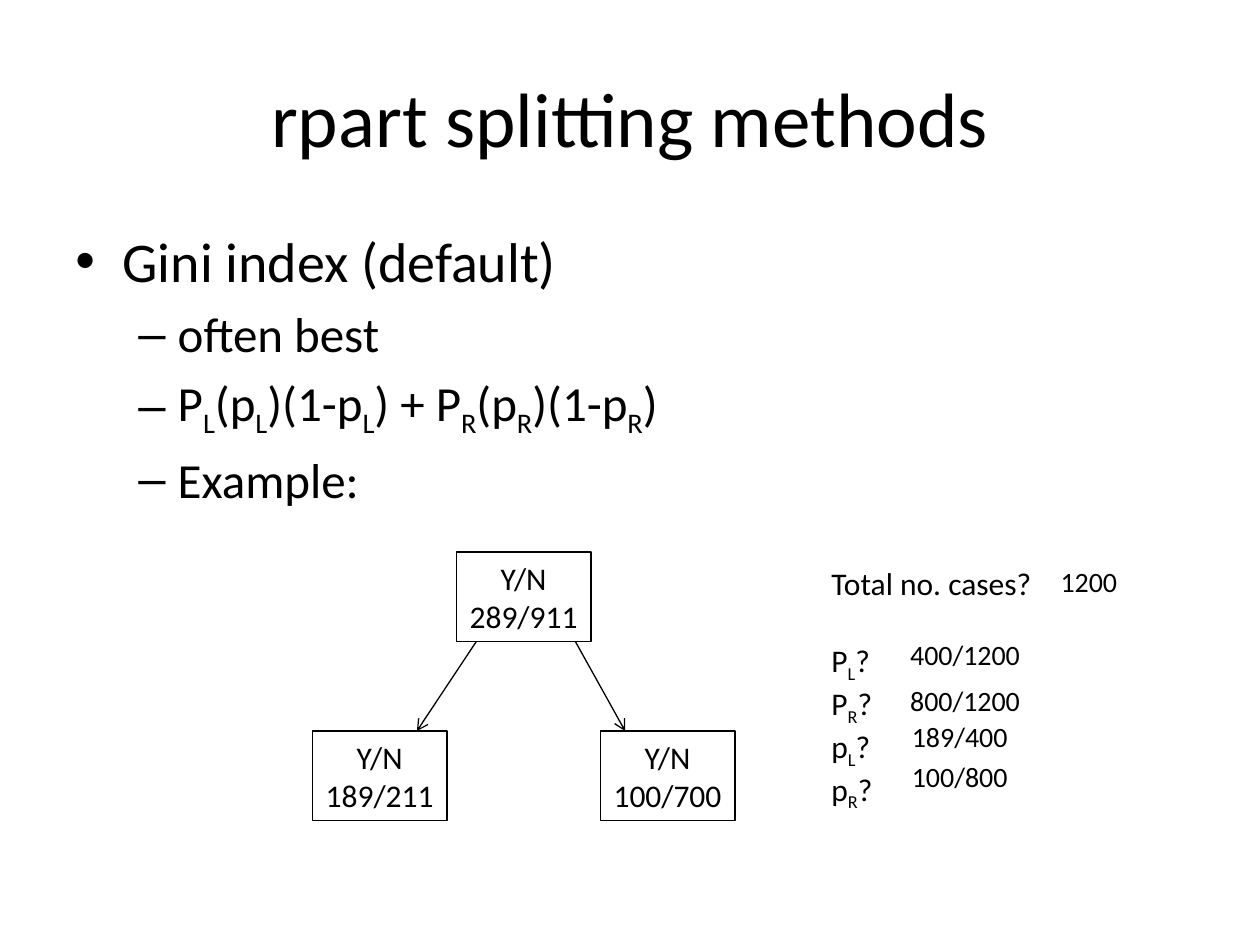
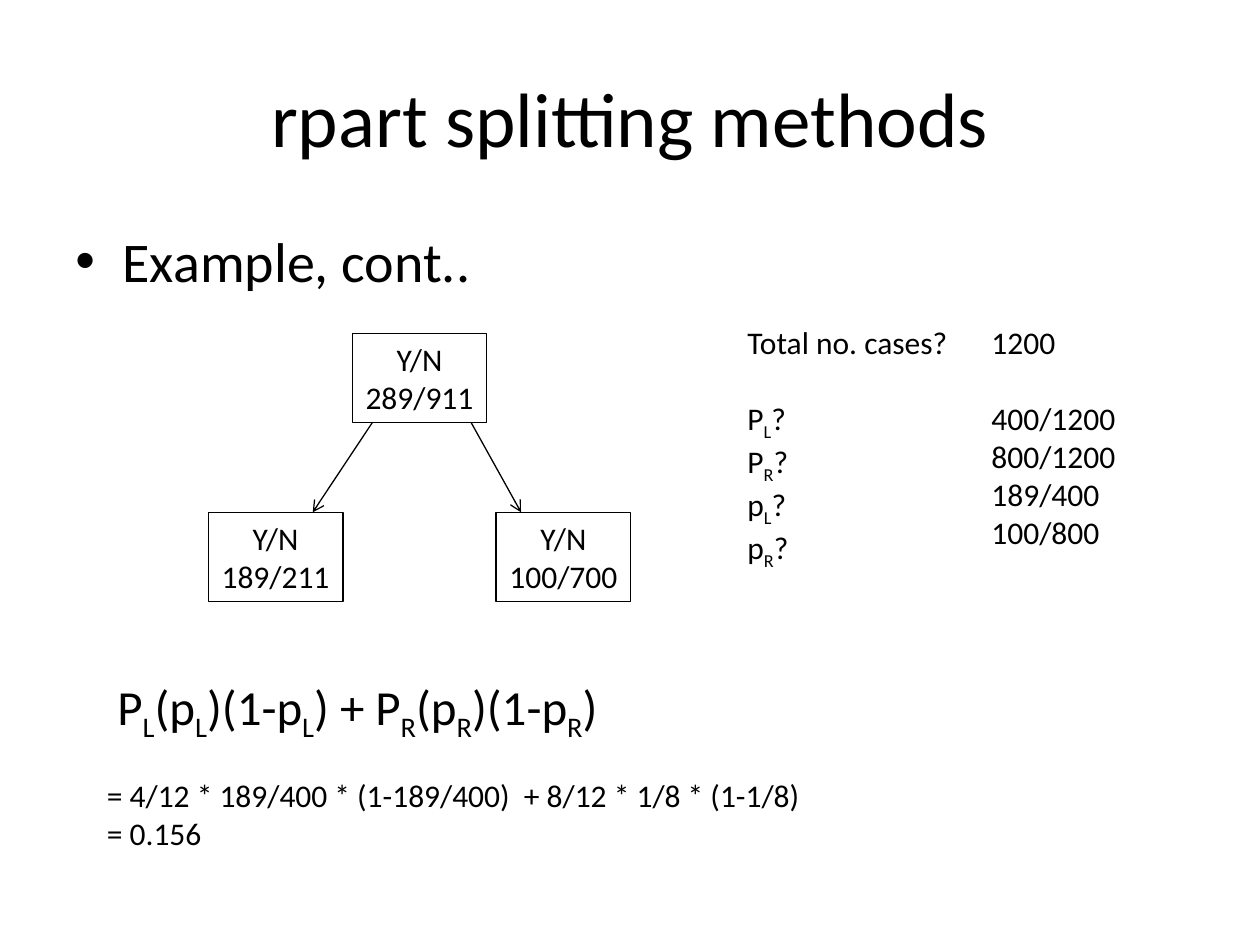
from dataclasses import dataclass

from lxml.etree import SubElement
from pptx import Presentation
from pptx.dml.color import RGBColor
from pptx.enum.shapes import MSO_CONNECTOR, MSO_SHAPE
from pptx.enum.text import MSO_ANCHOR, PP_ALIGN
from pptx.oxml.ns import qn
from pptx.util import Pt


@dataclass(frozen=True)
class Theme:
    font: str = "Calibri"
    ink: RGBColor = RGBColor(0, 0, 0)
    paper: RGBColor = RGBColor(255, 255, 255)
    title: int = 44
    bullet: int = 32
    dash: int = 28
    text: int = 18
    answer: int = 16
    line: float = 0.75


THEME = Theme()
TITLE = "rpart splitting methods"
GINI = "P_L(p_L)(1-p_L) + P_R(p_R)(1-p_R)"
QUESTIONS = ["P_L?", "P_R?", "p_L?", "p_R?"]
ANSWERS = ["400/1200", "800/1200", "189/400", "100/800"]
TOTAL_QUESTION, TOTAL = "Total no. cases?", "1200"
BLANK_LINE = 22

NODE_WIDTH, NODE_HEIGHT = 77, 51
BRANCH_X, BRANCH_Y = 82.25, 102.25


def write(para, text, size=THEME.text, align=PP_ALIGN.LEFT, before=0):
    """Fill a paragraph; the letter after an underscore is a subscript."""
    para.alignment = align
    para.space_before = Pt(before)
    first, *rest = text.split("_")
    pieces = [(first, False)]
    for part in rest:
        pieces += [(part[0], True), (part[1:], False)]
    for piece, lowered in pieces:
        span = para.add_run()
        span.text = piece
        span.font.name = THEME.font
        span.font.size = Pt(size)
        span.font.color.rgb = THEME.ink
        if lowered:
            span.font._element.set("baseline", "-25000")


def set_bullet(para, mark, left, hanging):
    properties = para._p.get_or_add_pPr()
    properties.set("marL", str(Pt(left)))
    properties.set("indent", str(Pt(-hanging)))
    SubElement(properties, qn("a:buFont"), typeface="Arial")
    SubElement(properties, qn("a:buChar"), char=mark)


class Slides:
    def __init__(self, theme):
        self.theme = theme
        self.deck = Presentation()
        self.deck.slide_width, self.deck.slide_height = Pt(720), Pt(540)
        self.page = None

    def add_page(self, title):
        self.page = self.deck.slides.add_slide(self.deck.slide_layouts[5])
        self.page.background.fill.solid()
        self.page.background.fill.fore_color.rgb = self.theme.paper
        box = self.page.shapes.title
        box.left, box.top, box.width, box.height = Pt(36), Pt(21.6), Pt(648), Pt(90)
        box.text_frame.vertical_anchor = MSO_ANCHOR.MIDDLE
        write(box.text_frame.paragraphs[0], title, size=self.theme.title,
              align=PP_ALIGN.CENTER)

    def add_text(self, left, top, width, height, lines, **style):
        """Each line is a text, or a text with the space before it."""
        box = self.page.shapes.add_textbox(Pt(left), Pt(top), Pt(width), Pt(height))
        frame = box.text_frame
        frame.word_wrap = True
        for number, line in enumerate(lines):
            para = frame.add_paragraph() if number else frame.paragraphs[0]
            text, before = (line, 0) if isinstance(line, str) else line
            write(para, text, before=before, **style)

    def add_outline(self, heading, points=(), height=59):
        box = self.page.shapes.add_textbox(Pt(36), Pt(126), Pt(648), Pt(height))
        frame = box.text_frame
        frame.word_wrap = True
        write(frame.paragraphs[0], heading, size=self.theme.bullet)
        set_bullet(frame.paragraphs[0], "•", 27, 27)
        for point in points:
            para = frame.add_paragraph()
            write(para, point, size=self.theme.dash, before=0.2 * self.theme.dash)
            set_bullet(para, "–", 58.5, 22.5)

    def add_node(self, left, top, counts):
        box = self.page.shapes.add_shape(MSO_SHAPE.RECTANGLE, Pt(left), Pt(top),
                                         Pt(NODE_WIDTH), Pt(NODE_HEIGHT))
        box.shadow.inherit = False
        box.fill.background()
        box.line.color.rgb = self.theme.ink
        box.line.width = Pt(self.theme.line)
        frame = box.text_frame
        frame.word_wrap = False
        frame.vertical_anchor = MSO_ANCHOR.MIDDLE
        write(frame.paragraphs[0], "Y/N", align=PP_ALIGN.CENTER)
        write(frame.add_paragraph(), counts, align=PP_ALIGN.CENTER)

    def add_arrow(self, start_x, start_y, end_x, end_y):
        arrow = self.page.shapes.add_connector(
            MSO_CONNECTOR.STRAIGHT, Pt(start_x), Pt(start_y), Pt(end_x), Pt(end_y))
        arrow.line.color.rgb = self.theme.ink
        arrow.line.width = Pt(self.theme.line)
        SubElement(arrow.line._get_or_add_ln(), qn("a:tailEnd"), type="arrow")
        SubElement(arrow._element.spPr, qn("a:effectLst"))

    def add_tree(self, left, top):
        """Draw the split, with the root node at the given corner."""
        child_top = top + BRANCH_Y
        self.add_node(left, top, "289/911")
        for start, end in ((11.5, -22.5), (68, 96.5)):
            self.add_arrow(left + start, top + NODE_HEIGHT, left + end, child_top)
        self.add_node(left - BRANCH_X, child_top, "189/211")
        self.add_node(left + BRANCH_X, child_top, "100/700")

    def add_case_column(self, left, top, width, total, values):
        first, *others = values
        self.add_text(left, top, width, 138, [total, (first, BLANK_LINE), *others])


def add_method_page(slides):
    slides.add_page(TITLE)
    slides.add_outline("Gini index (default)", ["often best", GINI, "Example:"],
                       height=356)
    slides.add_tree(260.75, 315.5)
    slides.add_case_column(468, 319, 134, TOTAL_QUESTION, QUESTIONS)
    places = [(599, 319), (513, 361), (513, 387), (514, 407.5), (514, 430.5)]
    for (left, top), answer in zip(places, [TOTAL, *ANSWERS]):
        slides.add_text(left, top, 102, 27, [answer], size=THEME.answer)


def add_example_page(slides):
    slides.add_page(TITLE)
    slides.add_outline("Example, cont..")
    slides.add_tree(201.25, 190.5)
    slides.add_case_column(420, 181, 134, TOTAL_QUESTION, QUESTIONS)
    slides.add_case_column(559.5, 181, 94, TOTAL, ANSWERS)
    slides.add_text(60, 383, 442, 63, [GINI], size=THEME.dash)
    slides.add_text(54, 440, 420, 73, [
        "= 4/12 * 189/400 * (1-189/400)  + 8/12 * 1/8 * (1-1/8)", "= 0.156"])


def main():
    slides = Slides(THEME)
    add_method_page(slides)
    add_example_page(slides)
    slides.deck.save("out.pptx")


if __name__ == "__main__":
    main()
